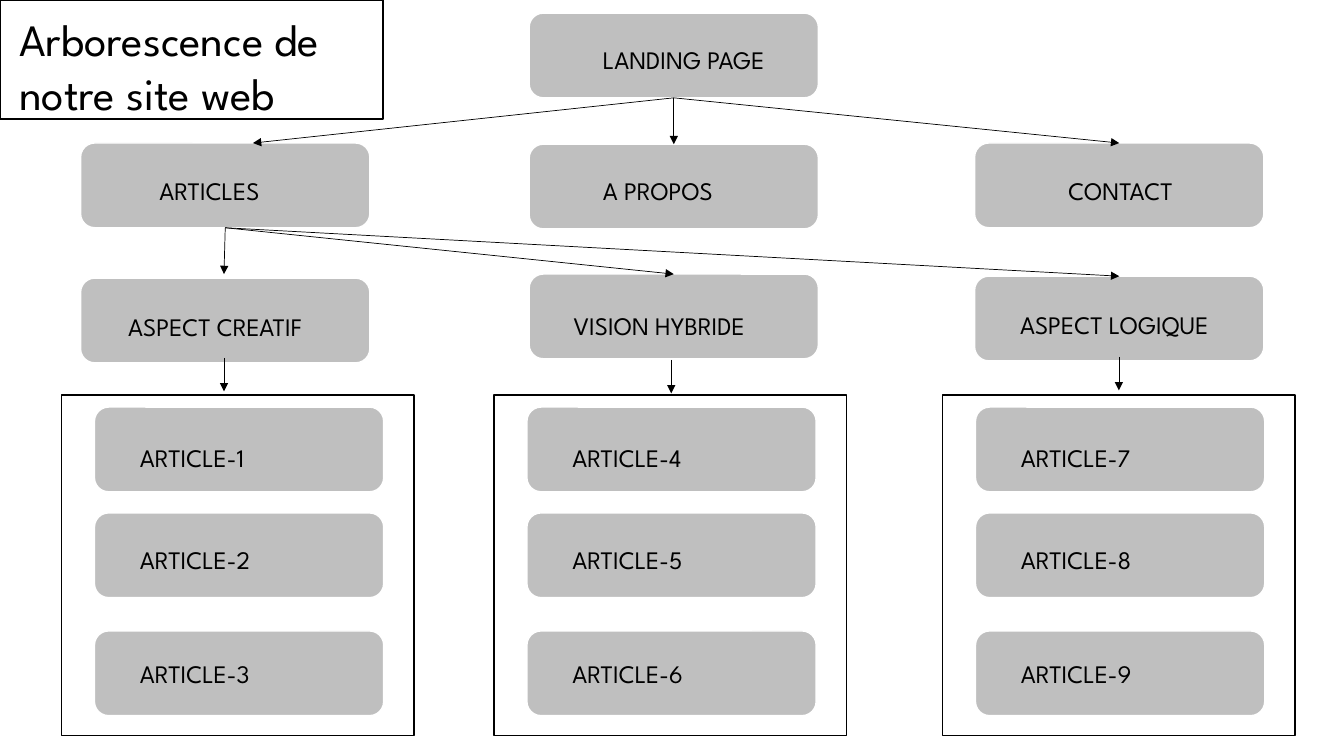
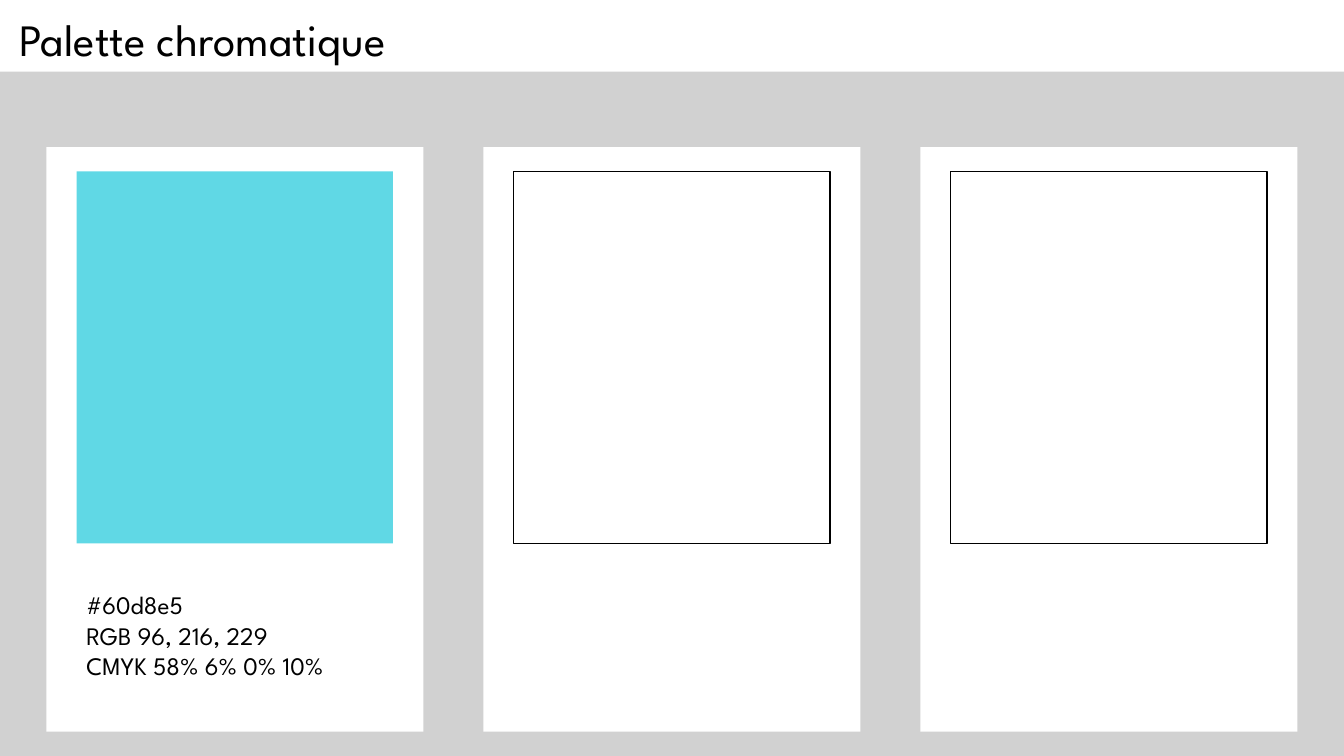
from lxml.etree import SubElement
from pptx import Presentation
from pptx.dml.color import RGBColor
from pptx.enum.shapes import MSO_CONNECTOR, MSO_SHAPE
from pptx.enum.text import MSO_ANCHOR, MSO_AUTO_SIZE, PP_ALIGN
from pptx.oxml.ns import qn
from pptx.util import Pt

FONT = "League Spartan"
BLACK, WHITE = "000000", "FFFFFF"
GREY, PALE, CYAN = "BFBFBF", "D1D1D1", "60D8E5"
WIDE, HIGH = 960, 540
BOX_W, BOX_H = 206.6, 60.5
TOP, BOTTOM = 0, 2


def color(code):
    """Turn a hex string into a colour."""
    return RGBColor.from_string(code)


def paint(shape, fill=None, line=None):
    """Set the fill and outline of a shape."""
    if fill:
        shape.fill.solid()
        shape.fill.fore_color.rgb = color(fill)
    else:
        shape.fill.background()
    if line:
        shape.line.color.rgb = color(line)
        shape.line.width = Pt(1)
    else:
        shape.line.fill.background()


def write(shape, text, size=18, left=7.2, top=3.6):
    """Write left-aligned text from the top of a shape."""
    frame = shape.text_frame
    frame.text = text
    frame.word_wrap = True
    frame.auto_size = MSO_AUTO_SIZE.NONE
    frame.vertical_anchor = MSO_ANCHOR.TOP
    frame.margin_left, frame.margin_top = Pt(left), Pt(top)
    frame.margin_right = frame.margin_bottom = 0
    for para in frame.paragraphs:
        para.alignment = PP_ALIGN.LEFT
        para.font.name = FONT
        para.font.size = Pt(size)
        para.font.color.rgb = color(BLACK)


def block(slide, x, y, w, h, kind=MSO_SHAPE.RECTANGLE, **look):
    """Add a flat shape."""
    shape = slide.shapes.add_shape(kind, Pt(x), Pt(y), Pt(w), Pt(h))
    shape.shadow.inherit = False
    paint(shape, **look)
    return shape


def page(deck, text, w, h, **look):
    """Add a slide with its title in the top left corner."""
    slide = deck.slides.add_slide(deck.slide_layouts[5])
    title = slide.shapes.title
    title.left, title.top, title.width, title.height = 0, 0, Pt(w), Pt(h)
    paint(title, **look)
    write(title, text, size=32, left=13.7, top=8.6)
    title.text_frame.paragraphs[0].line_spacing = 1
    return slide


def node(slide, text, x, y, left, top):
    """Add a named box of the site tree."""
    shape = block(slide, x, y, BOX_W, BOX_H, MSO_SHAPE.ROUNDED_RECTANGLE,
                  fill=GREY, line=WHITE)
    write(shape, text, left=left, top=top)
    return shape


def arrow(slide, start=(0, 0), end=(0, 0), source=None, goal=None):
    """Draw an arrow between points or joined boxes."""
    line = slide.shapes.add_connector(
        MSO_CONNECTOR.STRAIGHT, *(Pt(v) for v in (*start, *end)))
    if source is not None:
        line.begin_connect(source, BOTTOM)
    if goal is not None:
        line.end_connect(goal, TOP)
    line.line.color.rgb = color(BLACK)
    line.line.width = Pt(0.5)
    SubElement(line.line._get_or_add_ln(), qn("a:tailEnd"), type="triangle")
    SubElement(line._element.spPr, qn("a:effectLst"))


def group(slide, x, y, first):
    """Add a frame holding three article boxes."""
    block(slide, x, y, 252, 243.4, line=BLACK)
    for step, (down, top) in enumerate([(8.6, 22.3), (84.2, 19.4), (168.5, 16.6)]):
        node(slide, f"ARTICLE-{first + step}", x + 23.6, y + down, 29.5, top)


def tree(deck):
    """Build the site tree slide."""
    slide = page(deck, "Arborescence de notre site web", 273.6, 85, line=BLACK)
    root = node(slide, "LANDING PAGE", 378, 9.4, 49.7, 19.4)
    posts = node(slide, "ARTICLES", 57.6, 102.2, 53.3, 20)
    about = node(slide, "A PROPOS", 378, 103, 49.7, 19.4)
    reach = node(slide, "CONTACT", 696.2, 102.2, 64, 20)
    node(slide, "ASPECT CREATIF", 57.6, 198.7, 31, 20.9)
    blend = node(slide, "VISION HYBRIDE", 378, 195.8, 28.8, 23)
    logic = node(slide, "ASPECT LOGIQUE", 696.2, 197.3, 29.5, 20.9)

    arrow(slide, end=(180.7, 102.2), source=root)
    arrow(slide, end=(160, 195.8), source=posts)
    for source, goal in [(root, about), (root, reach), (posts, blend), (posts, logic)]:
        arrow(slide, source=source, goal=goal)

    parts = [(43.9, 160, 255.6), (352.8, 479.5, 257), (673.2, 799.2, 254.9)]
    for i, (x, mid, y) in enumerate(parts):
        group(slide, x, 282.2, 3 * i + 1)
        arrow(slide, (mid, y), (mid, y + 24))


def card(slide, x, y, text="", **look):
    """Add a white card with a swatch and its codes."""
    block(slide, x, y, 269.3, 417.6, fill=WHITE)
    block(slide, x + 21.6, y + 17.3, 226, 265.7, **look)
    if text:
        label = slide.shapes.add_textbox(
            Pt(x + 21.6), Pt(y + 312.5), Pt(219), Pt(72.7))
        write(label, text)


def chart(deck):
    """Build the colour palette slide."""
    slide = page(deck, "Palette chromatique", 334.8, 51.1, fill=WHITE)
    block(slide, 0, 51.1, WIDE, HIGH - 51.1, fill=PALE)
    codes = "#60d8e5\nRGB 96, 216, 229\nCMYK 58% 6% 0% 10%"
    looks = [{"fill": CYAN, "text": codes}, {"line": BLACK}, {"line": BLACK}]
    for i, look in enumerate(looks):
        card(slide, 33.1 + 312.2 * i, 105.1, **look)


def main():
    """Build and save the deck."""
    deck = Presentation()
    deck.slide_width, deck.slide_height = Pt(WIDE), Pt(HIGH)
    tree(deck)
    chart(deck)
    deck.save("out.pptx")


if __name__ == "__main__":
    main()
